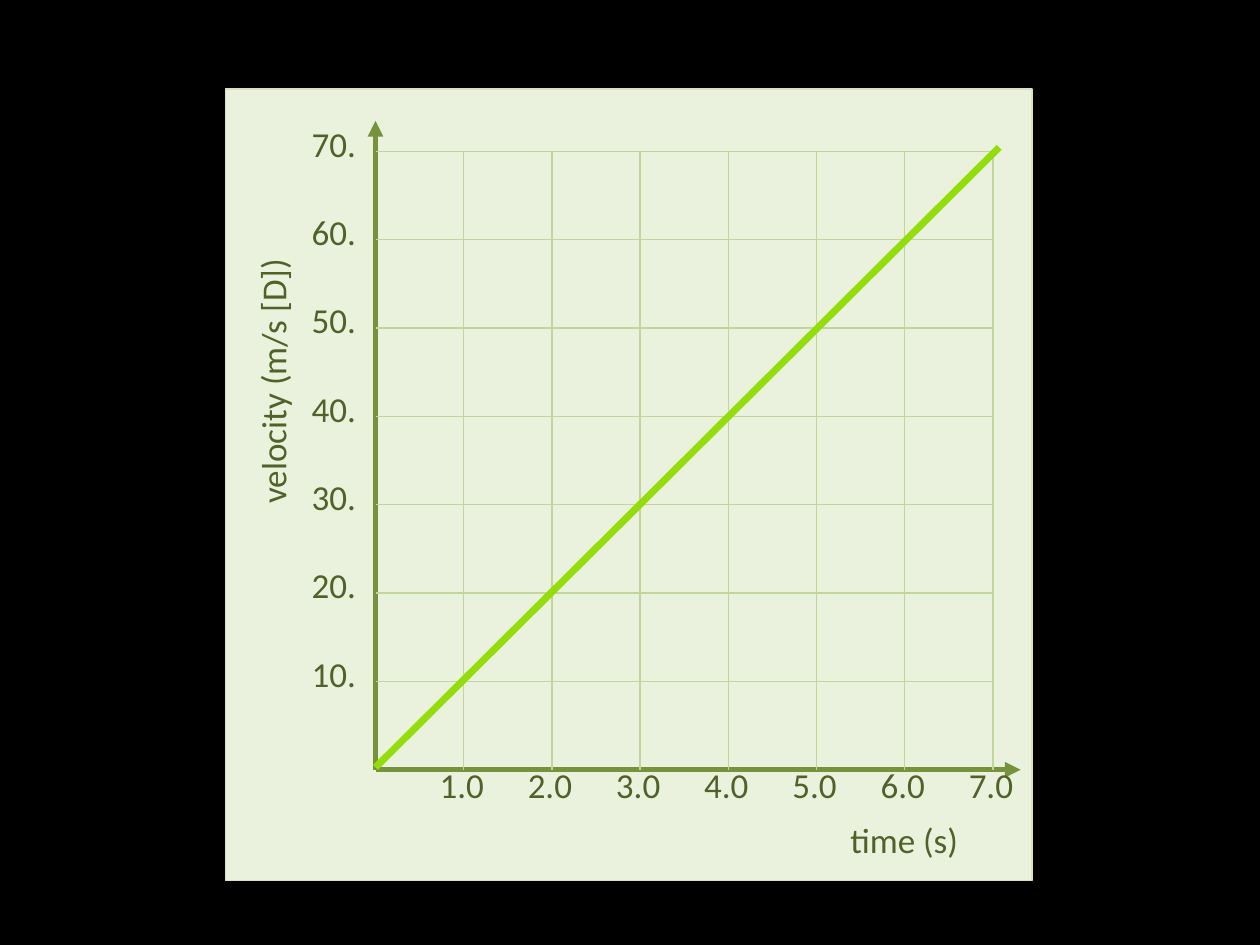
from lxml.etree import SubElement
from pptx import Presentation
from pptx.dml.color import RGBColor
from pptx.enum.shapes import MSO_CONNECTOR, MSO_SHAPE
from pptx.oxml.ns import qn
from pptx.util import Pt

THEME = {
    "font": "Calibri",
    "size": 20,
    "background": "000000",
    "panel": "EAF1DD",
    "border": "D6E3BC",
    "axis": "76923C",
    "grid": "C2D69B",
    "text": "4F6228",
    "graph": "93DD0D",
}


def add_text(text, left, top, width=49.7, height=32.4, rotation=0):
    tb = s.shapes.add_textbox(Pt(left), Pt(top), Pt(width), Pt(height))
    tb.rotation = rotation
    tf = tb.text_frame
    tf.word_wrap = True
    p = tf.paragraphs[0]
    p.space_after = Pt(10)
    r = p.add_run()
    r.text = text
    r.font.name = THEME["font"]
    r.font.size = Pt(THEME["size"])
    r.font.color.rgb = RGBColor.from_string(THEME["text"])


def add_line(x1, y1, x2, y2, color, weight, arrow=False):
    line = s.shapes.add_connector(MSO_CONNECTOR.STRAIGHT, Pt(x1), Pt(y1), Pt(x2), Pt(y2))
    line.line.color.rgb = RGBColor.from_string(THEME[color])
    line.line.width = Pt(weight)
    if arrow:
        SubElement(line.line._get_or_add_ln(), qn("a:tailEnd"), type="triangle")
    SubElement(line._element.spPr, qn("a:effectLst"))


prs = Presentation()
prs.slide_width, prs.slide_height = Pt(720), Pt(540)
s = prs.slides.add_slide(prs.slide_layouts[6])
s.background.fill.solid()
s.background.fill.fore_color.rgb = RGBColor.from_string(THEME["background"])

panel = s.shapes.add_shape(MSO_SHAPE.RECTANGLE, Pt(128.9), Pt(50.8), Pt(460.8), Pt(452.5))
panel.shadow.inherit = False
panel.fill.solid()
panel.fill.fore_color.rgb = RGBColor.from_string(THEME["panel"])
panel.line.color.rgb = RGBColor.from_string(THEME["border"])
panel.line.width = Pt(0.75)

origin_x, origin_y = 214.6, 439.9
step_x, step_y, count = 50.4, 50.5, 7
right, top = origin_x + count * step_x, origin_y - count * step_y

add_line(origin_x, origin_y, origin_x, 69.1, "axis", 3, arrow=True)
add_line(origin_x, origin_y, 583.2, origin_y, "axis", 3, arrow=True)

for i in range(1, count + 1):
    x, y = origin_x + i * step_x, origin_y - i * step_y
    add_line(x, origin_y, x, top, "grid", 0.75)
    add_line(origin_x, y, right, y, "grid", 0.75)
    add_text(f"{i}.0", x - 20.9, 432.7)
    add_text(f"{i}0.", 171, y - 20.2)

add_text("time (s)", 478.8, 464.4, width=115.2, height=38.9)
add_text("velocity (m/s [D])", 57.6, 172.8, width=204.5, height=39.6, rotation=270)

add_line(origin_x, 438.5, 571, 84.2, "graph", 4)

prs.save("out.pptx")
